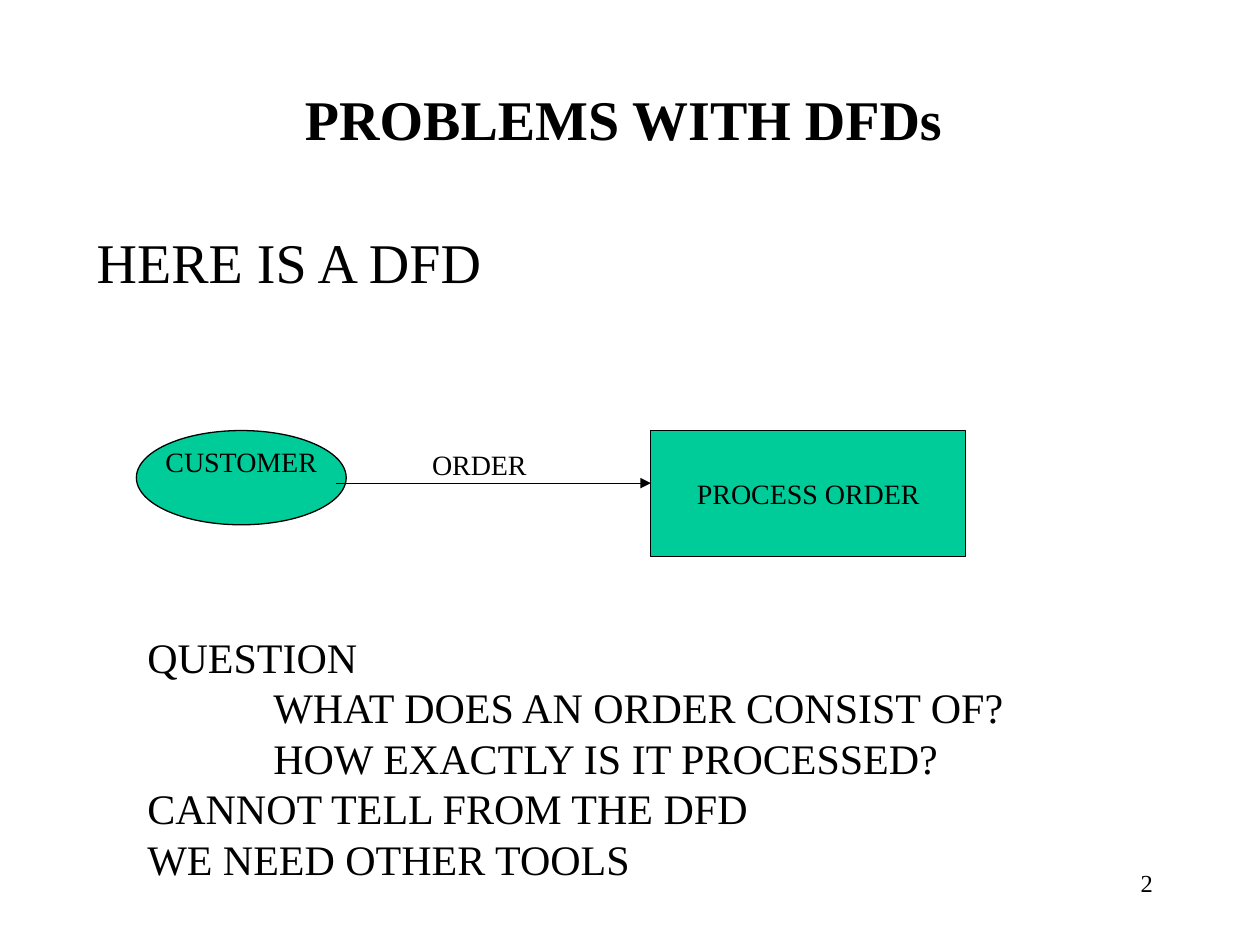
import dataclasses

import pptx
import pptx.dml.color
import pptx.enum.shapes
import pptx.enum.text
import pptx.oxml.ns
import pptx.util
from lxml import etree

Cm = pptx.util.Cm
Pt = pptx.util.Pt
ALIGN = pptx.enum.text.PP_ALIGN
ANCHOR = pptx.enum.text.MSO_ANCHOR
SHAPE = pptx.enum.shapes.MSO_SHAPE


@dataclasses.dataclass(frozen=True)
class Theme:
    font: str = "Times New Roman"
    ink: pptx.dml.color.RGBColor = pptx.dml.color.RGBColor(0, 0, 0)
    node: pptx.dml.color.RGBColor = pptx.dml.color.RGBColor(0, 0xCC, 0x99)
    heading: int = 32
    question: int = 24
    label: int = 16
    number: int = 14
    line: float = 0.75


THEME = Theme()
INSETS = {"margin_left": Cm(0.25), "margin_right": Cm(0.25),
          "margin_top": Cm(0.13), "margin_bottom": Cm(0.13)}


def set_all(obj, values):
    for name, value in values.items():
        setattr(obj, name, value)


def write(sp, lines, size, align=ALIGN.LEFT, bold=False, **frame):
    tf = sp.text_frame
    set_all(tf, {**INSETS, "word_wrap": True, "vertical_anchor": ANCHOR.TOP, **frame})
    for i, (text, indent) in enumerate(lines):
        p = tf.paragraphs[0] if i == 0 else tf.add_paragraph()
        p.alignment = align
        if indent:
            p._p.get_or_add_pPr().set("marL", str(Cm(indent)))
        r = p.add_run()
        r.text = text
        set_all(r.font, {"name": THEME.font, "size": Pt(size), "bold": bold})
        r.font.color.rgb = THEME.ink


def add_text(s, box, lines, size, **options):
    sp = s.shapes.add_textbox(*map(Cm, box))
    write(sp, lines, size, **options)


def add_title(s, box):
    sp = s.shapes.title
    set_all(sp, dict(zip(("left", "top", "width", "height"), map(Cm, box))))
    write(sp, [("PROBLEMS WITH DFDs", 0)], THEME.heading, align=ALIGN.CENTER,
          bold=True, vertical_anchor=ANCHOR.MIDDLE)


def add_node(s, kind, box, text, **frame):
    sp = s.shapes.add_shape(kind, *map(Cm, box))
    sp.shadow.inherit = False
    sp.fill.solid()
    sp.fill.fore_color.rgb = THEME.node
    sp.line.color.rgb = THEME.ink
    sp.line.width = Pt(THEME.line)
    write(sp, [(text, 0)], THEME.label, align=ALIGN.CENTER,
          word_wrap=False, vertical_anchor=ANCHOR.MIDDLE, **frame)


def add_arrow(s, x1, x2, y):
    cx = s.shapes.add_connector(pptx.enum.shapes.MSO_CONNECTOR.STRAIGHT,
                                Cm(x1), Cm(y), Cm(x2), Cm(y))
    cx.line.color.rgb = THEME.ink
    cx.line.width = Pt(THEME.line)
    qn = pptx.oxml.ns.qn
    etree.SubElement(cx.line._get_or_add_ln(), qn("a:tailEnd"), type="triangle")
    etree.SubElement(cx._element.spPr, qn("a:effectLst"))


def add_diagram(s, box):
    x, y, w, h = box
    process_w = 6.35
    process_x = x + w - process_w
    add_node(s, SHAPE.OVAL, (x, y, 4.23, 1.9), "CUSTOMER", margin_bottom=Cm(0.78))
    add_node(s, SHAPE.RECTANGLE, (process_x, y, process_w, h), "PROCESS ORDER")
    add_arrow(s, x + 4.02, process_x, y + 1.06)
    add_text(s, (x + 5.71, y + 0.21, 3.18, 0.94), [("ORDER", 0)], THEME.label)


def add_questions(s, box):
    lines = [
        ("QUESTION", 0),
        ("WHAT DOES AN ORDER CONSIST OF?", 2.54),
        ("HOW EXACTLY IS IT PROCESSED?", 2.54),
        ("CANNOT TELL FROM THE DFD", 0),
        ("WE NEED OTHER TOOLS", 0),
    ]
    add_text(s, box, lines, THEME.question, word_wrap=False)


def main():
    prs = pptx.Presentation()
    set_all(prs, {"slide_width": Cm(25.4), "slide_height": Cm(19.05)})
    s = prs.slides.add_slide(prs.slide_layouts[5])
    add_title(s, (1.78, 0.79, 21.59, 3.18))
    add_text(s, (1.7, 4.45, 21.59, 1.6), [("HERE IS A DFD", 0)], THEME.heading)
    add_diagram(s, (2.75, 8.68, 16.72, 2.54))
    add_questions(s, (2.72, 12.6, 17.93, 5.33))
    add_text(s, (18.2, 17.36, 5.29, 1.27), [("2", 0)], THEME.number, align=ALIGN.RIGHT)
    prs.save("out.pptx")


if __name__ == "__main__":
    main()
